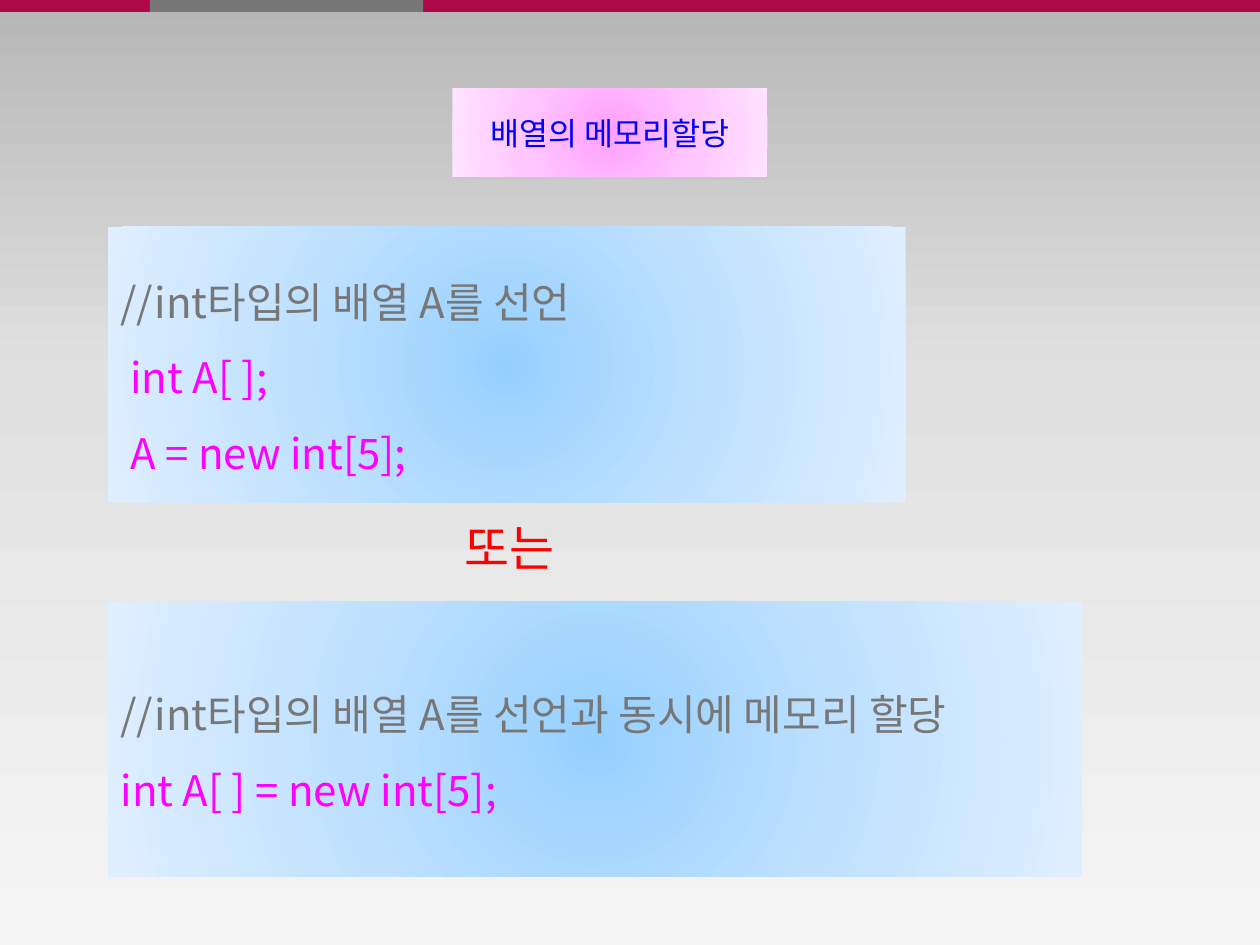
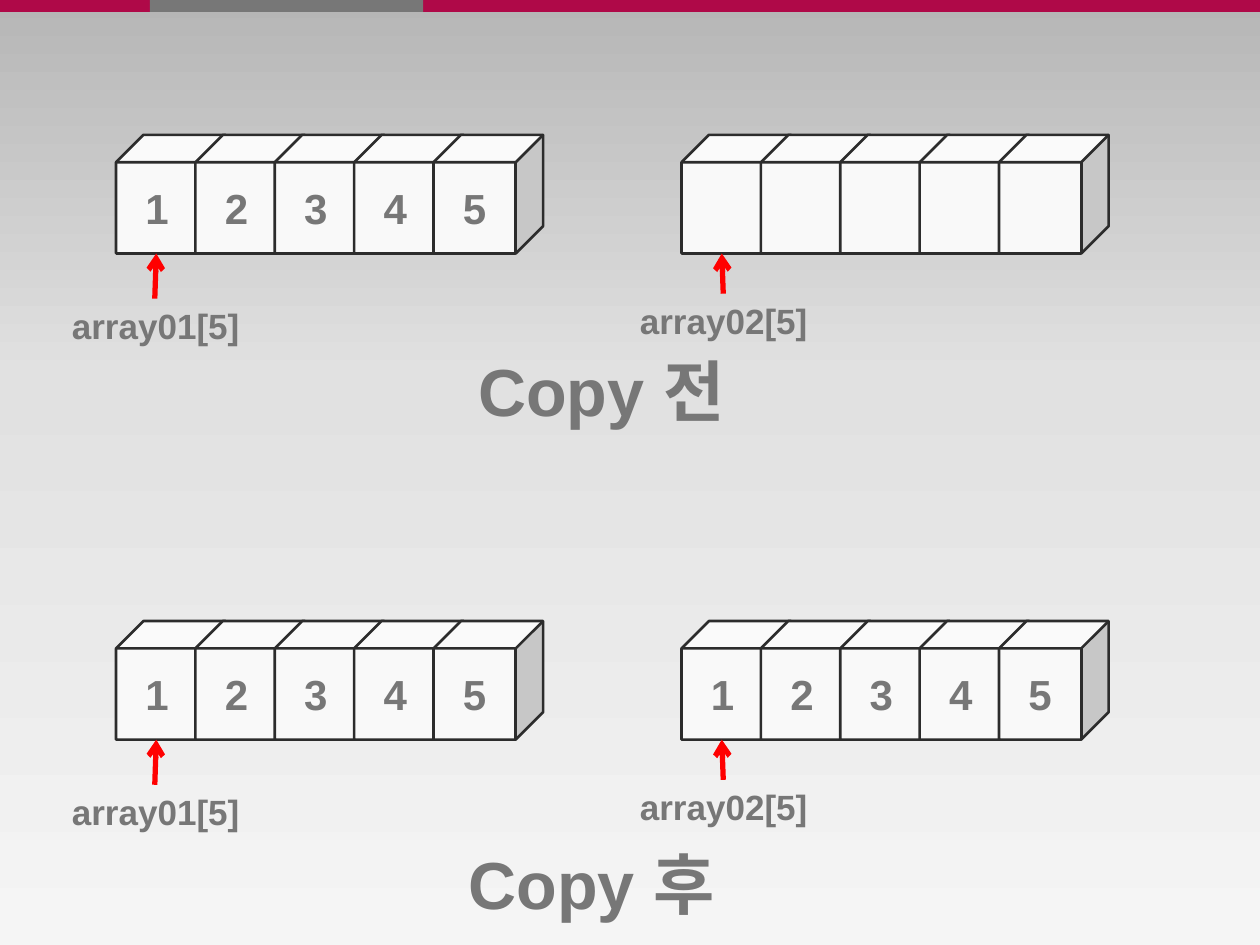
from dataclasses import dataclass

from lxml.etree import SubElement
from pptx import Presentation
from pptx.dml.color import RGBColor
from pptx.enum.shapes import MSO_CONNECTOR as Connector, MSO_SHAPE as Preset
from pptx.enum.text import MSO_ANCHOR as Anchor, PP_ALIGN as Align
from pptx.oxml import parse_xml
from pptx.oxml.ns import nsdecls, qn
from pptx.util import Cm, Pt


@dataclass(frozen=True)
class Theme:
    korean: str = "Noto Sans CJK KR"
    latin: str = "Arial"
    crimson: str = "AF0948"
    gray: str = "777777"
    magenta: str = "FF00FF"
    red: str = "FF0000"
    blue: str = "0000FF"
    cube_fill: str = "F9F9F9"
    cube_line: str = "2C2C2C"
    background: tuple = ((0, "B6B6B6"), (40, "E1E1E1"), (100, "F5F5F5"))
    sky_glow: tuple = ((0, "96D0FF"), (50, "BFE1FF"), (100, "E0EFFF"))
    pink_glow: tuple = ((0, "FFA0FF"), (50, "FFC5FF"), (100, "FFE3FF"))
    title_size: int = 18
    label_size: int = 20
    code_size: int = 24
    or_size: int = 28
    caption_size: int = 38


THEME = Theme()

# Positions are left, top, width, height in centimetres.
BANDS = [((0, 0, 25.4, 0.24), THEME.crimson), ((3.02, 0, 5.51, 0.24), THEME.gray)]

TITLE = ("배열의 메모리할당", (9.12, 1.78, 6.35, 1.78))
OR_LABEL = ("또는", (9.12, 10.31, 2.51, 1.42))
CODE_BOXES = [
    {
        "place": (2.18, 4.57, 16.08, 5.56),
        "comment": "//int타입의 배열 A를 선언",
        "code": ["int A[ ];", "A = new int[5];"],
        "indent": 0.2,
    },
    {
        "place": (2.18, 12.12, 19.63, 5.56),
        "comment": "//int타입의 배열 A를 선언과 동시에 메모리 할당",
        "code": ["int A[ ] = new int[5];"],
        "indent": 0,
    },
]

NUMBERS = ["1", "2", "3", "4", "5"]
EMPTY = [""] * len(NUMBERS)
STAGES = [
    {"caption": "Copy 전", "place": (7.92, 6.93, 8.41, 1.88),
     "top": 2.72, "values": [NUMBERS, EMPTY]},
    {"caption": "Copy 후", "place": (7.72, 16.87, 8.41, 1.88),
     "top": 12.52, "values": [NUMBERS, NUMBERS]},
]
ARRAYS = [
    {"name": "array01[5]", "left": 2.34, "label_left": 0.64, "label_drop": 3.3, "arrow_foot": 3.12},
    {"name": "array02[5]", "left": 13.74, "label_left": 12.09, "label_drop": 3.2, "arrow_foot": 14.58},
]
CUBE_WIDTH, CUBE_HEIGHT, CUBE_STEP = 2.21, 2.39, 1.6
ARROW_HEAD_OFFSET = 0.81
LABEL_WIDTH, LABEL_HEIGHT = 5, 1.09


def lengths(place):
    return [Cm(value) for value in place]


def paint_gradient(fill, element, stops, direction):
    """Replace the two-stop gradient inside element by one with any stops."""
    fill.gradient()
    stop_xml = "".join(
        f'<a:gs pos="{position * 1000}"><a:srgbClr val="{color}"/></a:gs>'
        for position, color in stops
    )
    old = next(element.iter(qn("a:gradFill")))
    new = parse_xml(
        f'<a:gradFill {nsdecls("a")} rotWithShape="1">'
        f"<a:gsLst>{stop_xml}</a:gsLst>{direction}</a:gradFill>"
    )
    old.getparent().replace(old, new)


def paint_glow(shape, stops):
    paint_gradient(
        shape.fill, shape.element, stops,
        '<a:path path="circle"><a:fillToRect l="50000" t="50000" r="50000" b="50000"/></a:path>',
    )


def style_paragraph(paragraph, size, color, latin=THEME.korean, bold=False, align=Align.LEFT):
    paragraph.alignment = align
    font = paragraph.font
    font.name, font.size, font.bold = latin, Pt(size), bold
    font.color.rgb = RGBColor.from_string(color)


def set_korean_font(shape):
    for latin in list(shape.element.iter(qn("a:latin"))):
        korean = parse_xml(f'<a:ea {nsdecls("a")} typeface="{THEME.korean}"/>')
        latin.addnext(korean)


def add_plain_shape(shapes, preset, place):
    shape = shapes.add_shape(preset, *lengths(place))
    shape.shadow.inherit = False
    shape.line.fill.background()
    return shape


def add_text(slide, text, place, size, color, **style):
    box = slide.shapes.add_textbox(*lengths(place))
    box.text_frame.word_wrap = True
    paragraph = box.text_frame.paragraphs[0]
    paragraph.text = text
    style_paragraph(paragraph, size, color, **style)
    set_korean_font(box)


def add_bold_label(slide, text, place, size):
    add_text(slide, text, place, size, THEME.gray,
             latin=THEME.latin, bold=True, align=Align.CENTER)


def decorate_master(presentation, slide):
    """Give the master its background and bands; slide is used to make the bands."""
    master = presentation.slide_master
    paint_gradient(master.background.fill, master.element, THEME.background,
                   '<a:lin ang="5400000" scaled="0"/>')
    for number, (place, color) in enumerate(BANDS):
        band = add_plain_shape(slide.shapes, Preset.RECTANGLE, place)
        band.fill.solid()
        band.fill.fore_color.rgb = RGBColor.from_string(color)
        band.element.nvSpPr.cNvPr.id = 100 + number
        master.shapes.element.append(band.element)


def format_title(title):
    text, place = TITLE
    title.left, title.top, title.width, title.height = lengths(place)
    title.element.spPr.append(
        parse_xml(f'<a:prstGeom {nsdecls("a")} prst="roundRect"><a:avLst/></a:prstGeom>')
    )
    paint_glow(title, THEME.pink_glow)
    title.text_frame.text = text
    title.text_frame.vertical_anchor = Anchor.MIDDLE
    style_paragraph(title.text_frame.paragraphs[0], THEME.title_size, THEME.blue,
                    align=Align.CENTER)
    set_korean_font(title)


def add_code_box(slide, content):
    box = add_plain_shape(slide.shapes, Preset.RECTANGLE, content["place"])
    paint_glow(box, THEME.sky_glow)
    frame = box.text_frame
    frame.word_wrap = True
    frame.vertical_anchor = Anchor.MIDDLE
    frame.text = "\n".join([content["comment"], *content["code"]])
    for index, paragraph in enumerate(frame.paragraphs):
        paragraph.line_spacing = 1.5
        style_paragraph(paragraph, THEME.code_size, THEME.magenta if index else THEME.gray)
    for element in list(box.element.iter(qn("a:p")))[1:]:
        element.get_or_add_pPr().set("marL", str(Cm(content["indent"])))
    set_korean_font(box)


def add_cube_row(slide, left, top, values):
    group = slide.shapes.add_group_shape()
    for index, value in enumerate(values):
        place = (left + index * CUBE_STEP, top, CUBE_WIDTH, CUBE_HEIGHT)
        cube = add_plain_shape(group.shapes, Preset.CUBE, place)
        cube.fill.solid()
        cube.fill.fore_color.rgb = RGBColor.from_string(THEME.cube_fill)
        cube.line.color.rgb = RGBColor.from_string(THEME.cube_line)
        cube.line.width = Pt(1.5)
        if value:
            frame = cube.text_frame
            frame.margin_left = frame.margin_right = 0
            frame.vertical_anchor = Anchor.MIDDLE
            frame.text = value
            style_paragraph(frame.paragraphs[0], THEME.code_size, THEME.gray,
                            latin=THEME.latin, bold=True, align=Align.CENTER)


def add_arrow(slide, start, end):
    arrow = slide.shapes.add_connector(Connector.STRAIGHT, *lengths(start + end))
    arrow.line.color.rgb = RGBColor.from_string(THEME.red)
    arrow.line.width = Pt(3)
    SubElement(arrow.line._get_or_add_ln(), qn("a:tailEnd"), type="arrow")
    SubElement(arrow.element.spPr, qn("a:effectLst"))


def build_allocation_slide(slide):
    format_title(slide.shapes.title)
    for content in CODE_BOXES:
        add_code_box(slide, content)
    text, place = OR_LABEL
    add_text(slide, text, place, THEME.or_size, THEME.red)


def build_copy_slide(slide):
    for stage in STAGES:
        top = stage["top"]
        for array, values in zip(ARRAYS, stage["values"]):
            label_top = top + array["label_drop"]
            add_cube_row(slide, array["left"], top, values)
            add_arrow(slide, (array["arrow_foot"], label_top),
                      (array["left"] + ARROW_HEAD_OFFSET, top + CUBE_HEIGHT))
            add_bold_label(slide, array["name"],
                           (array["label_left"], label_top, LABEL_WIDTH, LABEL_HEIGHT),
                           THEME.label_size)
        add_bold_label(slide, stage["caption"], stage["place"], THEME.caption_size)


def main():
    presentation = Presentation()
    presentation.slide_width, presentation.slide_height = Cm(25.4), Cm(19.05)
    title_only = presentation.slide_layouts.get_by_name("Title Only")
    blank = presentation.slide_layouts.get_by_name("Blank")
    allocation_slide = presentation.slides.add_slide(title_only)
    decorate_master(presentation, allocation_slide)
    build_allocation_slide(allocation_slide)
    build_copy_slide(presentation.slides.add_slide(blank))
    presentation.save("out.pptx")


if __name__ == "__main__":
    main()
